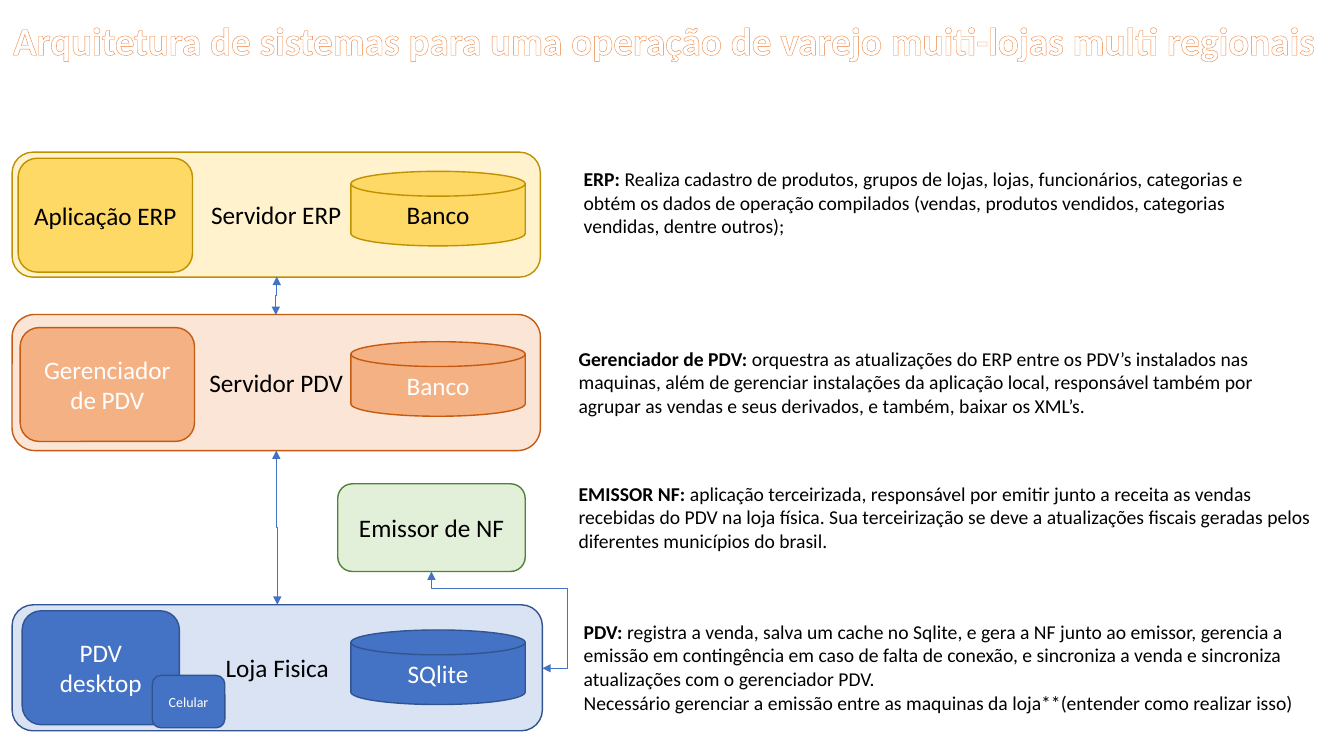
from dataclasses import dataclass

from lxml import etree
from pptx import Presentation
from pptx import util as u
from pptx.dml.color import RGBColor
from pptx.enum import shapes, text
from pptx.oxml.ns import qn

COLORS = {
    "white": "FFFFFF", "black": "000000", "arrow": "4472C4", "title_edge": "ED7D31",
    "blue_pale": "DAE3F3", "blue": "4472C4", "blue_edge": "325491",
    "orange_pale": "FBE5D6", "orange": "F4B183", "orange_edge": "C55A11",
    "yellow_pale": "FFF2CC", "yellow": "FFD966", "yellow_edge": "BF9000",
    "green_pale": "E2F0D9", "green_edge": "548235",
}
FONT = "Calibri"
ROUNDED = shapes.MSO_SHAPE.ROUNDED_RECTANGLE
DISK = shapes.MSO_SHAPE.FLOWCHART_MAGNETIC_DISK

Frame = tuple[float, float, float, float]


@dataclass(frozen=True)
class Node:
    label: str
    frame: Frame
    fill: str
    edge: str
    ink: str = "black"
    size: float = 18
    kind: shapes.MSO_SHAPE = ROUNDED


@dataclass(frozen=True)
class Tier:
    """A server box holding one application and one database."""
    hue: str
    ink: str
    server: str
    server_frame: Frame
    app: str
    app_frame: Frame
    database: str
    database_top: float

    def nodes(self) -> list[Node]:
        edge = f"{self.hue}_edge"
        disk_frame = (3.48, self.database_top, 1.73, 0.74)
        return [
            Node(self.server, self.server_frame, f"{self.hue}_pale", edge),
            Node(self.app, self.app_frame, self.hue, edge, self.ink),
            Node(self.database, disk_frame, self.hue, edge, self.ink, kind=DISK),
        ]


@dataclass(frozen=True)
class Note:
    frame: Frame
    term: str
    lines: tuple[str, ...]


@dataclass(frozen=True)
class Arrow:
    """An elbow line; its frame is given before rotation."""
    frame: Frame
    rotation: int
    flipped: bool = False
    preset: str = "bentConnector3"
    bends: tuple[int, ...] = ()


TIERS = [
    Tier("blue", "white", "Loja Fisica", (0.12, 6, 5.26, 1.25),
         "PDV desktop", (0.22, 6.06, 1.56, 1.13), "SQlite", 6.25),
    Tier("orange", "white", "Servidor PDV", (0.12, 3.12, 5.24, 1.35),
         "Gerenciador de PDV", (0.2, 3.25, 1.73, 1.13), "Banco", 3.39),
    Tier("yellow", "black", "Servidor ERP", (0.12, 1.51, 5.24, 1.24),
         "Aplicação ERP", (0.18, 1.57, 1.73, 1.13), "Banco", 1.7),
]
EXTRA_NODES = [
    Node("Emissor de NF", (3.35, 4.8, 1.86, 0.87), "green_pale", "green_edge"),
    Node("Celular", (1.51, 6.7, 0.72, 0.52), "blue", "blue_edge", "white", 10),
]
ARROWS = [
    Arrow((2.55, 2.93, 0.38, 0.01), 90),
    Arrow((1.98, 5.23, 1.53, 0.01), 270, True),
    Arrow((4.35, 5.6, 0.96, 1.1), 270, True, "bentConnector4", (17200, 122800)),
]
NOTES = [
    Note((5.69, 1.61, 6.92, 1.04), "ERP:", (
        " Realiza cadastro de produtos, grupos de lojas, lojas, funcionários, categorias e "
        "obtém os dados de operação compilados (vendas, produtos vendidos, categorias "
        "vendidas, dentre outros);",)),
    Note((5.64, 3.39, 6.92, 0.81), "Gerenciador de PDV:", (
        " orquestra as atualizações do ERP entre os PDV’s instalados nas maquinas, além de "
        "gerenciar instalações da aplicação local, responsável também por agrupar as vendas "
        "e seus derivados, e também, baixar os XML’s.",)),
    Note((5.64, 4.73, 7.58, 0.81), "EMISSOR NF: ", (
        "aplicação terceirizada, responsável por emitir junto a receita as vendas recebidas "
        "do PDV na loja física. Sua terceirização se deve a atualizações fiscais geradas "
        "pelos diferentes municípios do brasil.",)),
    Note((5.69, 6.1, 7.58, 1.04), "PDV: ", (
        "registra a venda, salva um cache no Sqlite, e gera a NF junto ao emissor, gerencia "
        "a emissão em contingência em caso de falta de conexão, e sincroniza a venda e "
        "sincroniza atualizações com o gerenciador PDV.",
        "Necessário gerenciar a emissão entre as maquinas da loja**"
        "(entender como realizar isso)")),
]
TITLE = "Arquitetura de sistemas para uma operação de varejo muiti-lojas multi regionais"


def color(name: str) -> RGBColor:
    return RGBColor.from_string(COLORS[name])


def inches(frame: Frame) -> list[u.Length]:
    return [u.Inches(length) for length in frame]


def add_span(para, words: str, size: float, ink: str = "black", bold: bool = False):
    span = para.add_run()
    span.text = words
    span.font.name = FONT
    span.font.size = u.Pt(size)
    span.font.bold = bold
    span.font.color.rgb = color(ink)
    return span


def add_node(page, node: Node) -> None:
    box = page.shapes.add_shape(node.kind, *inches(node.frame))
    box.shadow.inherit = False
    box.fill.solid()
    box.fill.fore_color.rgb = color(node.fill)
    box.line.color.rgb = color(node.edge)
    box.line.width = u.Pt(1)
    box.text_frame.word_wrap = True
    box.text_frame.vertical_anchor = text.MSO_ANCHOR.MIDDLE
    para = box.text_frame.paragraphs[0]
    para.alignment = text.PP_ALIGN.CENTER
    add_span(para, node.label, node.size, node.ink)


def add_arrow(page, arrow: Arrow) -> None:
    left, top, width, height = inches(arrow.frame)
    line = page.shapes.add_connector(
        shapes.MSO_CONNECTOR.ELBOW, left, top, left + width, top + height)
    line.line.color.rgb = color("arrow")
    line.line.width = u.Pt(0.5)
    properties = line._element.spPr
    transform = properties.find(qn("a:xfrm"))
    transform.set("rot", str(arrow.rotation * 60000))
    if arrow.flipped:
        transform.set("flipH", "1")
    geometry = properties.find(qn("a:prstGeom"))
    geometry.set("prst", arrow.preset)
    guides = geometry.find(qn("a:avLst"))
    for number, bend in enumerate(arrow.bends, 1):
        etree.SubElement(guides, qn("a:gd"), name=f"adj{number}", fmla=f"val {bend}")
    stroke = properties.find(qn("a:ln"))
    for end in ("a:headEnd", "a:tailEnd"):
        etree.SubElement(stroke, qn(end), type="triangle")
    etree.SubElement(properties, qn("a:effectLst"))


def add_note(page, note: Note) -> None:
    box = page.shapes.add_textbox(*inches(note.frame))
    box.text_frame.word_wrap = True
    para = box.text_frame.paragraphs[0]
    add_span(para, note.term, 14, bold=True)
    for index, line in enumerate(note.lines):
        if index:
            para.add_line_break()
        add_span(para, line, 14)


def add_title(page) -> None:
    box = page.shapes.add_textbox(*inches((0.03, 0.11, 13.28, 0.57)))
    box.text_frame.word_wrap = False
    span = add_span(box.text_frame.paragraphs[0], TITLE, 28, "white", True)
    outline = etree.Element(qn("a:ln"), w=str(u.Pt(0.52)))
    fill = etree.SubElement(outline, qn("a:solidFill"))
    etree.SubElement(fill, qn("a:srgbClr"), val=COLORS["title_edge"])
    span.font._element.insert(0, outline)


def main() -> None:
    deck = Presentation()
    deck.slide_width, deck.slide_height = u.Inches(13.33), u.Inches(7.5)
    page = deck.slides.add_slide(deck.slide_layouts[6])
    for node in [node for tier in TIERS for node in tier.nodes()] + EXTRA_NODES:
        add_node(page, node)
    for arrow in ARROWS:
        add_arrow(page, arrow)
    for note in NOTES:
        add_note(page, note)
    add_title(page)
    deck.save("out.pptx")


if __name__ == "__main__":
    main()
